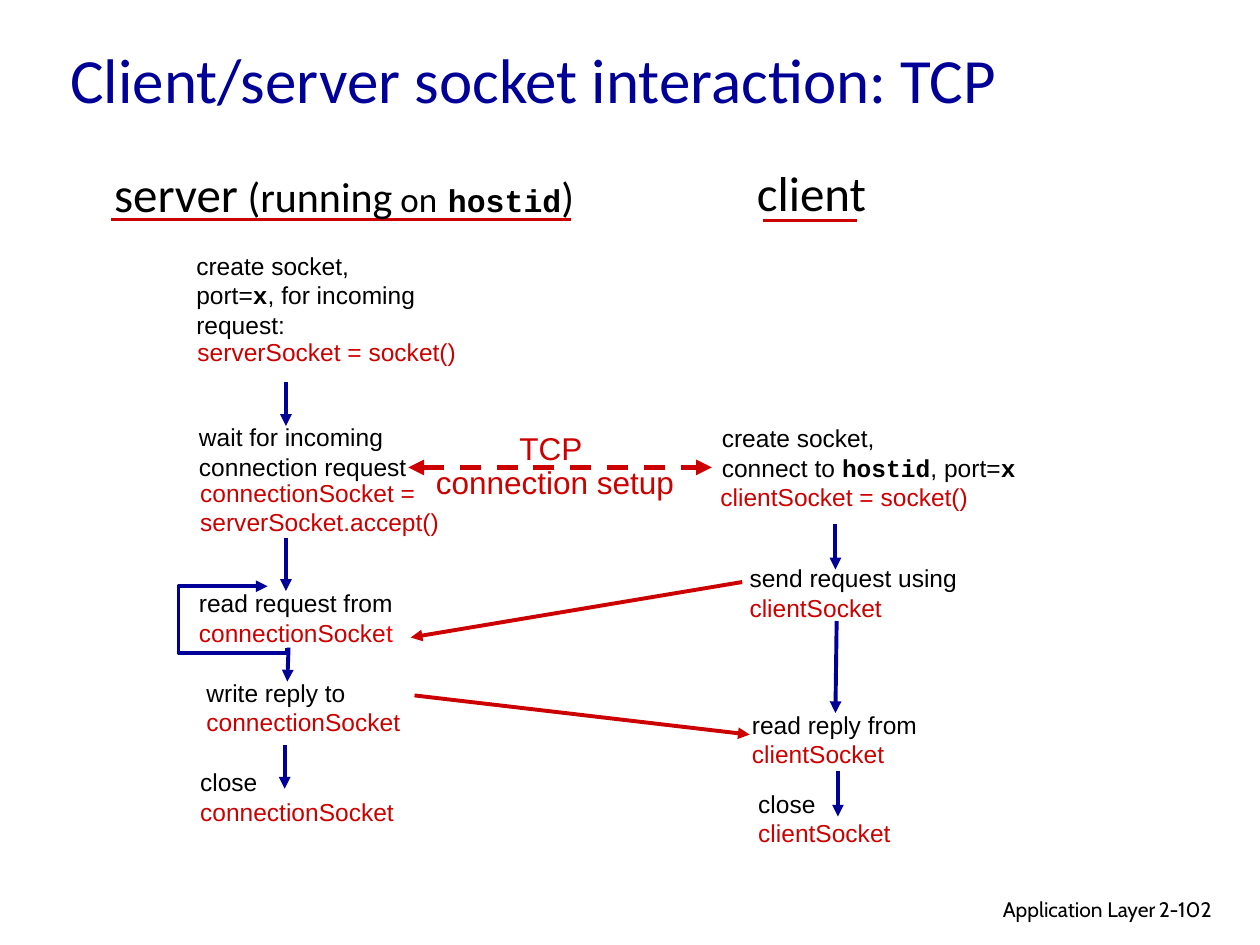
"""Build the slide on client/server socket interaction over TCP."""
from dataclasses import dataclass

from pptx import Presentation
from pptx.dml.color import RGBColor
from pptx.enum.dml import MSO_LINE_DASH_STYLE as Dash
from pptx.enum.shapes import MSO_CONNECTOR as Conn
from pptx.enum.text import MSO_ANCHOR as Anchor, MSO_AUTO_SIZE as AutoSize, PP_ALIGN as Align
from pptx.oxml import parse_xml
from pptx.oxml.ns import nsdecls
from pptx.util import Pt

BLACK, RED, BLUE = "000000", "CC0000", "000099"


@dataclass
class Run:
    text: str
    color: str = BLACK
    size: float = 14
    font: str = "Arial"
    bold: bool = False


@dataclass
class Label:
    box: tuple
    paras: list
    align: Align = Align.LEFT
    anchor: Anchor = Anchor.MIDDLE
    wrap: bool = False
    before: float = 0
    spacing: float = 1.0


@dataclass
class Line:
    start: tuple
    end: tuple
    color: str = BLUE
    width: float = 2.25
    head: bool = False
    tail: bool = True
    dashed: bool = False


def rgb(color: str) -> RGBColor:
    return RGBColor.from_string(color)


def code(text: str, size: float = 14) -> Run:
    return Run(text, size=size, font="Courier New", bold=True)


def step(x: float, y: float, w: float, action: str, *socket: Run) -> Label:
    return Label((x, y, w, 41), [[Run(action)], list(socket)])


def add_run(p, run: Run) -> None:
    r = p.add_run()
    r.text = run.text
    r.font.name, r.font.size, r.font.bold = run.font, Pt(run.size), run.bold
    r.font.color.rgb = rgb(run.color)


def draw_label(s, label: Label) -> None:
    tf = s.shapes.add_textbox(*map(Pt, label.box)).text_frame
    tf.word_wrap = label.wrap
    tf.auto_size = AutoSize.SHAPE_TO_FIT_TEXT
    tf.vertical_anchor = label.anchor
    for i, runs in enumerate(label.paras):
        p = tf.add_paragraph() if i else tf.paragraphs[0]
        p.alignment = label.align
        p.space_before, p.line_spacing = Pt(label.before), label.spacing
        for run in runs:
            add_run(p, run)


def style_line(sp, color: str, width: float, ends: list) -> None:
    sp.line.color.rgb, sp.line.width = rgb(color), Pt(width)
    for end in ends:
        sp.line._get_or_add_ln().append(parse_xml(f'<a:{end} {nsdecls("a")} type="triangle"/>'))


def draw_line(s, line: Line) -> None:
    sp = s.shapes.add_connector(Conn.STRAIGHT, *map(Pt, line.start + line.end))
    if line.dashed:
        sp.line.dash_style = Dash.DASH
    ends = [name for name, on in (("headEnd", line.head), ("tailEnd", line.tail)) if on]
    style_line(sp, line.color, line.width, ends)
    sp._element.spPr.append(parse_xml(f'<a:effectLst {nsdecls("a")}/>'))


def draw_loop(s, points: list) -> None:
    builder = s.shapes.build_freeform(*points[0], scale=12700)
    builder.add_line_segments(points[1:], close=False)
    sp = builder.convert_to_shape()
    sp.shadow.inherit = False
    sp.fill.background()
    style_line(sp, BLUE, 2.25, ["tailEnd"])


def draw_title(s, text: str) -> None:
    sp = s.shapes.title
    sp.left, sp.top, sp.width, sp.height = map(Pt, (33, 7.2, 612, 75))
    tf = sp.text_frame
    tf.auto_size, tf.vertical_anchor = AutoSize.NONE, Anchor.MIDDLE
    p = tf.paragraphs[0]
    p.alignment = Align.LEFT
    add_run(p, Run(text, BLUE, 36, "Calibri"))


CONN, CLIENT = Run("connectionSocket", RED), Run("clientSocket", RED)

LABELS = [
    Label((439.2, 509, 228.2, 22.3), [[Run("Application Layer", size=12, font="Cabin")]],
          Align.RIGHT, Anchor.TOP, True),
    Label((655.2, 509, 53.3, 21.6), [[Run("2-102", size=12, font="Cabin")]],
          anchor=Anchor.TOP, wrap=True),
    Label((42.5, 90, 308.2, 41), [[
        Run("server", size=28, font="Calibri"), Run(" (running", size=24, font="Calibri"),
        Run(" on", size=20, font="Calibri"), Run(" ", size=18, font="Comic Neue"),
        code("hostid", 18), Run(")", size=24, font="Calibri")]], Align.CENTER, before=15),
    Label((421.2, 89.3, 85, 41), [[Run("client", size=28, font="Calibri")]],
          Align.CENTER, before=17.5),
    Label((105.1, 139.7, 152, 57.6), [
        [Run("create socket,")],
        [Run("port="), code("x"), Run(", for incoming request:")]], wrap=True),
    Label((105.8, 188.6, 185, 24.5), [[Run("serverSocket = socket()", RED)]],
          wrap=True, before=3.5),
    step(106.6, 237.6, 133.2, "wait for incoming", Run("connection request")),
    Label((107.3, 269.3, 165, 41),
          [[Run("connectionSocket =", RED)], [Run("serverSocket.accept()", RED)]], wrap=True),
    step(106.6, 332.6, 125.3, "read request from",
         Run("connectionSocke", RED), Run("t", "FF0000")),
    step(110.9, 383.8, 125.3, "write reply to", CONN),
    step(107.3, 434.9, 125.3, "close", CONN),
    step(405.4, 238.3, 182.2, "create socket,",
         Run("connect to "), code("hostid"), Run(", port="), code("x")),
    Label((404.6, 271.4, 185.8, 24.5), [[Run("clientSocket = socket()", RED)]], wrap=True),
    step(421.2, 318.2, 133.2, "send request using", CLIENT),
    step(422.6, 401.8, 108.7, "read reply from", CLIENT),
    step(426.2, 447.1, 90, "close", CLIENT),
    Label((241.9, 244.1, 150.5, 46),
          [[Run("TCP ", RED, 18)], [Run("connection setup", RED, 18)]],
          Align.CENTER, spacing=0.9),
]

LINES = [
    Line((63.4, 125.3), (326.2, 125.3), RED, 1.5, tail=False),
    Line((436.3, 126), (489.6, 126), RED, 1.5, tail=False),
    Line((163.4, 218.2), (163.4, 243.4)),
    Line((163.4, 307.4), (163.4, 337.7)),
    Line((164.9, 370.1), (164.2, 389.5)),
    Line((162.7, 425.5), (162.7, 450.7)),
    Line((477.4, 299.5), (477.4, 325.4)),
    Line((478.1, 355), (477.4, 407.5)),
    Line((478.8, 440.6), (478.8, 466.6)),
    Line((424.1, 332.6), (234.7, 364.3), RED),
    Line((236.9, 397.4), (428.4, 419.8), RED),
    Line((233.3, 267.1), (406.8, 267.1), RED, 3, head=True, dashed=True),
]

LOOP = [(163.8, 370.1), (163.8, 373), (102.2, 373), (102.2, 334.8), (152.6, 334.8)]


def main() -> None:
    prs = Presentation()
    prs.slide_width, prs.slide_height = Pt(720), Pt(540)
    s = prs.slides.add_slide(prs.slide_layouts[5])
    draw_title(s, "Client/server socket interaction: TCP")
    for line in LINES:
        draw_line(s, line)
    draw_loop(s, LOOP)
    for label in LABELS:
        draw_label(s, label)
    prs.save("out.pptx")


if __name__ == "__main__":
    main()
